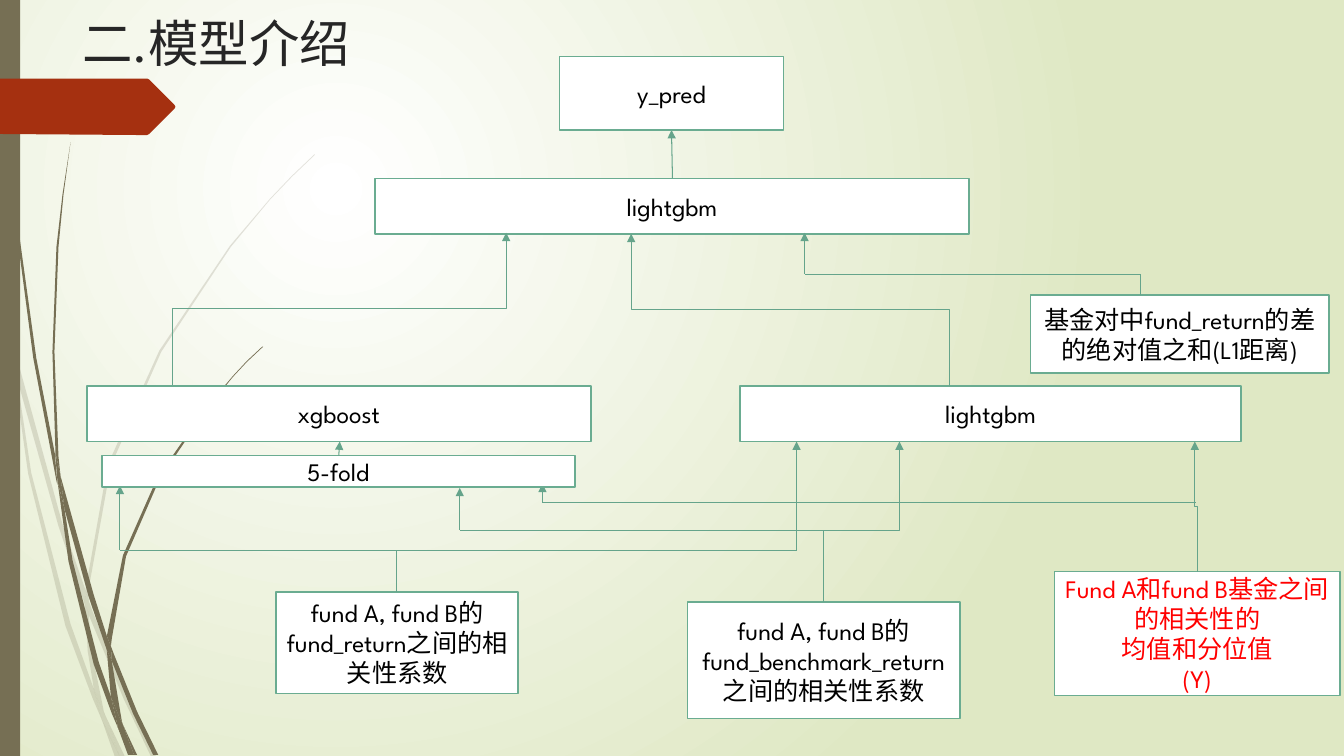
from lxml import etree
from pptx import Presentation
from pptx.dml.color import RGBColor
from pptx.enum.shapes import MSO_CONNECTOR as LINE, MSO_SHAPE as SHAPE
from pptx.enum.text import MSO_ANCHOR as ANCHOR, PP_ALIGN as ALIGN
from pptx.oxml.ns import qn
from pptx.util import Pt

PX = 9144  # EMU per px, 100 px to the inch
COLORS = {
    "glow": "FFFFFF", "edge": "DFE8C4", "stem": "766F54", "tag": "A53010",
    "box": "FFFFFF", "border": "6AAC91", "link": "65A48B",
    "text": "000000", "alert": "FF0000", "title": "262626",
}

# Outline points of the grass blades: faint ones behind, solid ones in front
FAINT_BLADES = [
    [(11, 350), (9, 322), (0, 282), (0, 299), (10, 344)],
    [(58, 522), (84, 599), (85, 586), (62, 520), (14, 345), (17, 376)],
    [(92, 607), (88, 596), (88, 610), (123, 694), (150, 751), (155, 751), (127, 692)],
    [(119, 751), (124, 751), (105, 711)],
    [(93, 683), (70, 619), (31, 469), (17, 376), (11, 350), (28, 470), (65, 621),
     (92, 693), (101, 714), (99, 707)],
    [(84, 599), (87, 646), (93, 683), (96, 692), (105, 711), (103, 706), (91, 646),
     (88, 610), (88, 608)],
    [(88, 584), (110, 462), (160, 349), (229, 245), (268, 198), (290, 175), (312, 154),
     (312, 153), (289, 175), (268, 197), (228, 244), (158, 348), (107, 461), (85, 584),
     (85, 586), (88, 596)],
    [(101, 714), (114, 751), (119, 751)],
    [(88, 608), (88, 610), (88, 596), (85, 586), (84, 599)],
    [(96, 692), (93, 683), (99, 707), (101, 714), (119, 751), (105, 711)],
]
SOLID_BLADES = [
    [(7, 110), (17, 233), (33, 355), (56, 477), (57, 481), (55, 457), (55, 453),
     (36, 355), (19, 232), (8, 109), (5, 48), (4, 0), (3, 0), (4, 48)],
    [(88, 592), (106, 645), (106, 633), (106, 631), (93, 590), (60, 472), (64, 505)],
    [(113, 649), (110, 641), (111, 656), (132, 708), (152, 749), (157, 749), (136, 706)],
    [(110, 691), (98, 657), (72, 556), (64, 505), (57, 477), (68, 557), (93, 659),
     (111, 708), (117, 722), (116, 717)],
    [(60, 472), (58, 453), (54, 349), (58, 245), (63, 193), (70, 141), (62, 193),
     (56, 245), (52, 349), (55, 449)],
    [(133, 749), (136, 749), (122, 719)],
    [(57, 477), (64, 505), (60, 472), (55, 449), (55, 453)],
    [(111, 633), (125, 552), (158, 476), (205, 406), (231, 374), (245, 359), (261, 344),
     (260, 344), (245, 358), (231, 373), (204, 405), (156, 474), (122, 551), (106, 631),
     (110, 641)],
    [(117, 722), (127, 749), (131, 749)],
    [(106, 645), (110, 691), (116, 706), (122, 719), (121, 716), (111, 656), (109, 651)],
    [(106, 645), (109, 651), (111, 656), (110, 641), (106, 631), (106, 633)],
    [(116, 706), (110, 691), (116, 717), (117, 722), (130, 749), (133, 749), (122, 719)],
]
TAG = [(0, 78), (146, 78), (148, 79), (173, 104), (174, 106), (173, 108), (148, 133),
       (146, 134), (136, 134), (0, 133)]


class Canvas:
    """Holds the current slide and its drawing style."""
    font = "League Spartan"

    def __init__(self, slide):
        self.s = slide

    @staticmethod
    def px(*lengths):
        return [round(v * PX) for v in lengths]

    @staticmethod
    def rgb(name):
        return RGBColor.from_string(COLORS[name])

    def background(self):
        fill = self.s.background.fill
        fill.gradient()
        for stop, name in zip(fill.gradient_stops, ("glow", "edge")):
            stop.color.rgb = self.rgb(name)
        grad = next(self.s.element.iter(qn("a:gradFill")))
        grad.remove(grad.find(qn("a:lin")))
        circle = etree.SubElement(grad, qn("a:path"), {"path": "circle"})
        etree.SubElement(circle, qn("a:fillToRect"),
                         l="50000", t="50000", r="100000", b="100000")

    def paint(self, sp, fill, border=None, alpha=None):
        sp.shadow.inherit = False
        sp.fill.solid()
        sp.fill.fore_color.rgb = self.rgb(fill)
        if alpha:
            color = next(sp.element.spPr.iter(qn("a:srgbClr")))
            etree.SubElement(color, qn("a:alpha"), val=str(alpha * 1000))
        if border:
            sp.line.color.rgb = self.rgb(border)
            sp.line.width = Pt(1.25)
        else:
            sp.line.fill.background()

    def outline(self, points, fill, alpha=None):
        fb = self.s.shapes.build_freeform(*points[0], scale=PX)
        fb.add_line_segments(points[1:], close=True)
        self.paint(fb.convert_to_shape(), fill, alpha=alpha)

    def rect(self, x, y, w, h, fill, border=None):
        sp = self.s.shapes.add_shape(SHAPE.RECTANGLE, *self.px(x, y, w, h))
        self.paint(sp, fill, border)
        return sp

    def set_text(self, tf, lines, size, color, align, anchor):
        tf.word_wrap = True
        tf.vertical_anchor = anchor
        for i, line in enumerate(lines):
            p = tf.add_paragraph() if i else tf.paragraphs[0]
            p.text = line
            p.alignment = align
            p.font.name = self.font
            p.font.size = Pt(size)
            p.font.color.rgb = self.rgb(color)

    def box(self, x, y, w, h, *lines, color="text"):
        sp = self.rect(x, y, w, h, "box", "border")
        self.set_text(sp.text_frame, lines, 18, color, ALIGN.CENTER, ANCHOR.MIDDLE)

    def title(self, x, y, w, h, text):
        sp = self.s.shapes.add_textbox(*self.px(x, y, w, h))
        self.set_text(sp.text_frame, [text], 36, "title", ALIGN.LEFT, ANCHOR.TOP)

    def link(self, x1, y1, x2, y2, arrow=False, kind=LINE.STRAIGHT):
        c = self.s.shapes.add_connector(kind, *self.px(x1, y1, x2, y2))
        c.line.color.rgb = self.rgb("link")
        c.line.width = Pt(0.75)
        sp_pr = c.element.spPr
        if arrow:
            etree.SubElement(sp_pr.find(qn("a:ln")), qn("a:tailEnd"), type="triangle")
        etree.SubElement(sp_pr, qn("a:effectLst"))
        return c

    def route(self, *points):
        """Straight pieces through the points, with an arrowhead on the last."""
        last = len(points) - 2
        for i, (a, b) in enumerate(zip(points, points[1:])):
            self.link(*a, *b, arrow=i == last)

    def elbow(self, x1, y1, x2, y2, bend=50):
        """Up, across, up: a horizontal elbow turned by a quarter."""
        cx, cy = (x1 + x2) / 2, (y1 + y2) / 2
        half_w, half_h = (y1 - y2) / 2, abs(x2 - x1) / 2
        rightward = x2 > x1
        dx = half_w if rightward else -half_w
        c = self.link(cx + dx, cy + half_h, cx - dx, cy - half_h, True, LINE.ELBOW)
        turn = 90 if rightward else 270
        c.element.spPr.find(qn("a:xfrm")).set("rot", str(turn * 60000))
        guides = next(c.element.iter(qn("a:avLst")))
        etree.SubElement(guides, qn("a:gd"), name="adj1", fmla=f"val {bend * 1000:.0f}")


def main():
    prs = Presentation()
    prs.slide_width, prs.slide_height = Canvas.px(1333, 750)
    cv = Canvas(prs.slides.add_slide(prs.slide_layouts[6]))

    # Backdrop
    cv.background()
    for blade in FAINT_BLADES:
        cv.outline(blade, "stem", alpha=20)
    for blade in SOLID_BLADES:
        cv.outline(blade, "stem")
    cv.rect(0, 0, 20, 750, "stem")
    cv.outline(TAG, "tag")

    # Input features and first-level models
    cv.box(274, 587, 240, 101, "fund A, fund B的 fund_return之间的相关性系数")
    cv.box(682, 597, 270, 116, "fund A, fund B的 fund_benchmark_return之间的相关性系数")
    cv.box(1046, 567, 283, 123, "Fund A和fund B基金之间的相关性的", "均值和分位值", "(Y)",
           color="alert")
    cv.box(86, 383, 500, 55, "xgboost")
    cv.box(734, 383, 497, 55, "lightgbm")

    # Features to first-level models
    cv.link(393, 587, 393, 546)
    cv.route((157, 546), (790, 546), (790, 438))
    cv.route((157, 546), (119, 546), (119, 482))
    cv.elbow(817, 597, 892, 438, bend=44.6)
    cv.route((817, 526), (456, 526), (456, 484))
    cv.elbow(1188, 567, 1185, 438)
    cv.route((1186, 499), (538, 499), (538, 480))

    # Second-level model, distance feature and prediction
    cv.box(372, 177, 589, 55, "lightgbm")
    cv.box(1022, 293, 296, 77, "基金对中fund_return的差的绝对值之和(L1距离)")
    cv.elbow(171, 382, 502, 231)
    cv.elbow(942, 383, 626, 232)
    cv.route((1131, 293), (1131, 272), (798, 272), (798, 231))
    cv.route((667, 177), (666, 129))
    cv.box(555, 56, 222, 73, "y_pred")

    # Title and fold step
    cv.title(72, 7, 975, 78, "二.模型介绍")
    cv.box(101, 452, 469, 31, "5-fold")
    cv.route((336, 452), (337, 438))

    prs.save("out.pptx")


if __name__ == "__main__":
    main()
